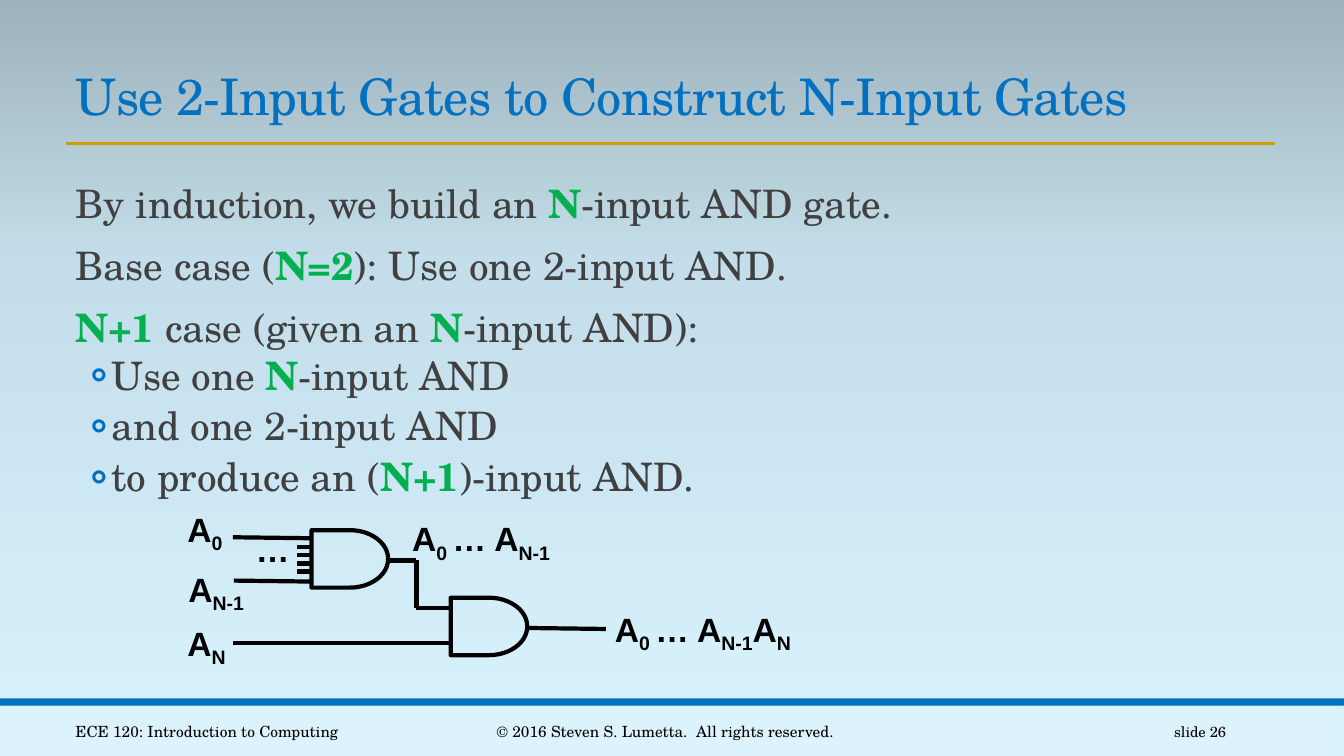
import copy

import pptx
import pptx.chart.data
import pptx.dml.color
import pptx.enum.shapes
import pptx.enum.text
import pptx.oxml
import pptx.oxml.ns
import pptx.util

SERIF = "TeX Gyre Schola"
SANS = "Arial"
BLUE = "0070C0"
GOLD = "D09E00"
GREEN = "00B050"
GREY = "404040"
BLACK = "000000"
PALE = "DCF3FD"
SKY = [(0, "DAF4FF"), (0.65, "C3DEEA"), (1, "9DB2BA")]

ALIGN = pptx.enum.text.PP_ALIGN
ANCHOR = pptx.enum.text.MSO_ANCHOR
FIT = pptx.enum.text.MSO_AUTO_SIZE
SHAPE = pptx.enum.shapes.MSO_SHAPE
POINT = pptx.util.Pt

SLIDE_SIZE = (1333, 750)
TITLE = "Use 2-Input Gates to Construct N-Input Gates"
TITLE_BOX = (65, 59, 1201, 71)
BODY_BOX = (65, 178, 852, 464)
STEPS = [
    (0, "By induction, we build an *N*-input AND gate."),
    (0, "Base case (*N=2*): Use one 2-input AND."),
    (0, "*N+1* case (given an *N*-input AND):"),
    (1, "Use one *N*-input AND"),
    (1, "and one 2-input AND"),
    (1, "to produce an (*N+1*)-input AND."),
]
BANDS = [((-6, 700, 1333, 50), PALE), ((0, 693, 1333, 7), BLUE)]
TITLE_RULE = (65, 142, 1265, 142)
FOOTER = [
    ((65, 706, 325, 40), "ECE 120: Introduction to Computing", 11, ALIGN.LEFT),
    ((403, 706, 514, 40), "© 2016 Steven S. Lumetta.  All rights reserved.", 11, ALIGN.CENTER),
    ((1083, 706, 143, 40), "slide 26", 10.5, ALIGN.RIGHT),
]
GATE_SIZE = (76, 57)
GATES = [(309, 526), (447, 593)]
WIRES = [
    (309, 534, 231, 533),
    (310, 577, 232, 576),
    (413, 556, 385, 556),
    (413, 556, 413, 603),
    (447, 603, 413, 603),
    (447, 638, 231, 638),
    (601, 624, 523, 623),
]
PIN_COUNT, PIN_TOP, PIN_GAP, PIN_LEFT, PIN_RIGHT = 4, 543, 8, 295, 308
LABELS = [
    ((176, 500, 57, 50), "A*0*"),
    ((177, 559, 81, 50), "A*N-1*"),
    ((176, 613, 61, 50), "A*N*"),
    ((244, 520, 54, 50), "…"),
    ((399, 509, 166, 50), "A*0 *… A*N-1*"),
    ((600, 599, 206, 50), "A*0 *… A*N-1*A*N*"),
]
LEVELS = [
    {"space_before": POINT(12), "space_after": POINT(2), "line_spacing": 0.9},
    {"space_before": POINT(2), "space_after": POINT(4), "line_spacing": 0.9},
]
INDENTS = [(10, 0), (42, -20)]


def px(length):
    return pptx.util.Emu(length * 9144)


def color(code):
    return pptx.dml.color.RGBColor.from_string(code)


def assign(target, values):
    for key, value in values.items():
        setattr(target, key, value)


def place(part, box):
    assign(part, dict(zip(("left", "top", "width", "height"), map(px, box))))


def add_child(parent, tag, **values):
    child = pptx.oxml.parse_xml(f"<a:{tag} {pptx.oxml.ns.nsdecls('a')}/>")
    for key, value in values.items():
        child.set(key, value)
    parent.append(child)
    return child


def write(paragraph, text, font, size, code, bold=False, accent=None, baseline=None):
    for index, piece in enumerate(text.split("*")):
        if not piece:
            continue
        marked = index % 2 == 1
        run = paragraph.add_run()
        run.text = piece
        assign(run.font, {
            "name": font,
            "size": POINT(size),
            "bold": bold or marked,
        })
        run.font.color.rgb = color(accent if marked and accent else code)
        if marked and baseline:
            run.font._element.set("baseline", baseline)


def add_text(slide, box, frame_format):
    frame = slide.shapes.add_textbox(*map(px, box)).text_frame
    assign(frame, frame_format)
    return frame.paragraphs[0]


def add_line(slide, ends, code, weight):
    line = slide.shapes.add_connector(
        pptx.enum.shapes.MSO_CONNECTOR.STRAIGHT, *map(px, ends))
    line.line.color.rgb = color(code)
    line.line.width = POINT(weight)
    add_child(line.element.spPr, "effectLst")


def paint_background(slide):
    fill = slide.background.fill
    fill.gradient()
    fill.gradient_angle = 90
    stops = slide.element.xpath(".//a:gsLst")[0]
    stops.append(copy.deepcopy(stops[0]))
    for stop, (position, code) in zip(fill.gradient_stops, SKY):
        stop.position = position
        stop.color.rgb = color(code)


def add_bands(slide):
    for box, code in BANDS:
        band = slide.shapes.add_shape(SHAPE.RECTANGLE, *map(px, box))
        band.shadow.inherit = False
        band.fill.solid()
        band.fill.fore_color.rgb = color(code)
        band.line.fill.background()
    add_line(slide, TITLE_RULE, GOLD, 2)


def fill_title(title):
    place(title, TITLE_BOX)
    assign(title.text_frame, {
        "vertical_anchor": ANCHOR.BOTTOM, "word_wrap": True, "auto_size": FIT.NONE})
    heading = title.text_frame.paragraphs[0]
    assign(heading, {"alignment": ALIGN.LEFT, "line_spacing": 0.85})
    write(heading, TITLE, SERIF, 36, BLUE)
    heading.runs[0].font._element.set("spc", "-50")


def fill_body(body):
    place(body, BODY_BOX)
    frame = body.text_frame
    assign(frame, {
        "margin_left": 0, "margin_right": 0, "vertical_anchor": ANCHOR.TOP,
        "word_wrap": True, "auto_size": FIT.NONE})
    for index, (level, text) in enumerate(STEPS):
        step = frame.add_paragraph() if index else frame.paragraphs[0]
        assign(step, {"level": level, **LEVELS[level]})
        properties = step._p.get_or_add_pPr()
        margin, indent = INDENTS[level]
        properties.set("marL", str(px(margin)))
        properties.set("indent", str(px(indent)))
        if level:
            add_child(add_child(properties, "buClr"), "srgbClr", val=BLUE)
            add_child(properties, "buFont", typeface=SERIF)
            add_child(properties, "buChar", char="◦")
        else:
            add_child(properties, "buNone")
        write(step, text, SERIF, 28, GREY, accent=GREEN)


def add_footer(slide):
    for box, text, size, alignment in FOOTER:
        note = add_text(slide, box, {"word_wrap": True, "vertical_anchor": ANCHOR.MIDDLE})
        note.alignment = alignment
        write(note, text, SERIF, size, BLACK)


def add_circuit(slide):
    for corner in GATES:
        gate = slide.shapes.add_shape(SHAPE.FLOWCHART_DELAY, *map(px, corner + GATE_SIZE))
        gate.shadow.inherit = False
        gate.fill.background()
        gate.line.color.rgb = color(BLACK)
        gate.line.width = POINT(3)
    pin_rows = [PIN_TOP + PIN_GAP * row for row in range(PIN_COUNT)]
    pins = [(PIN_RIGHT, row, PIN_LEFT, row) for row in pin_rows]
    for wire in WIRES + pins:
        add_line(slide, wire, BLACK, 3)
    for box, text in LABELS:
        label = add_text(slide, box, {"word_wrap": False, "auto_size": FIT.SHAPE_TO_FIT_TEXT})
        write(label, text, SANS, 24, BLACK, bold=True, baseline="-25000")


def main():
    deck = pptx.Presentation()
    assign(deck, dict(zip(("slide_width", "slide_height"), map(px, SLIDE_SIZE))))
    slide = deck.slides.add_slide(deck.slide_layouts[1])
    paint_background(slide)
    add_bands(slide)
    fill_title(slide.shapes.title)
    fill_body(slide.placeholders[1])
    add_footer(slide)
    add_circuit(slide)
    deck.save("out.pptx")


if __name__ == "__main__":
    main()
